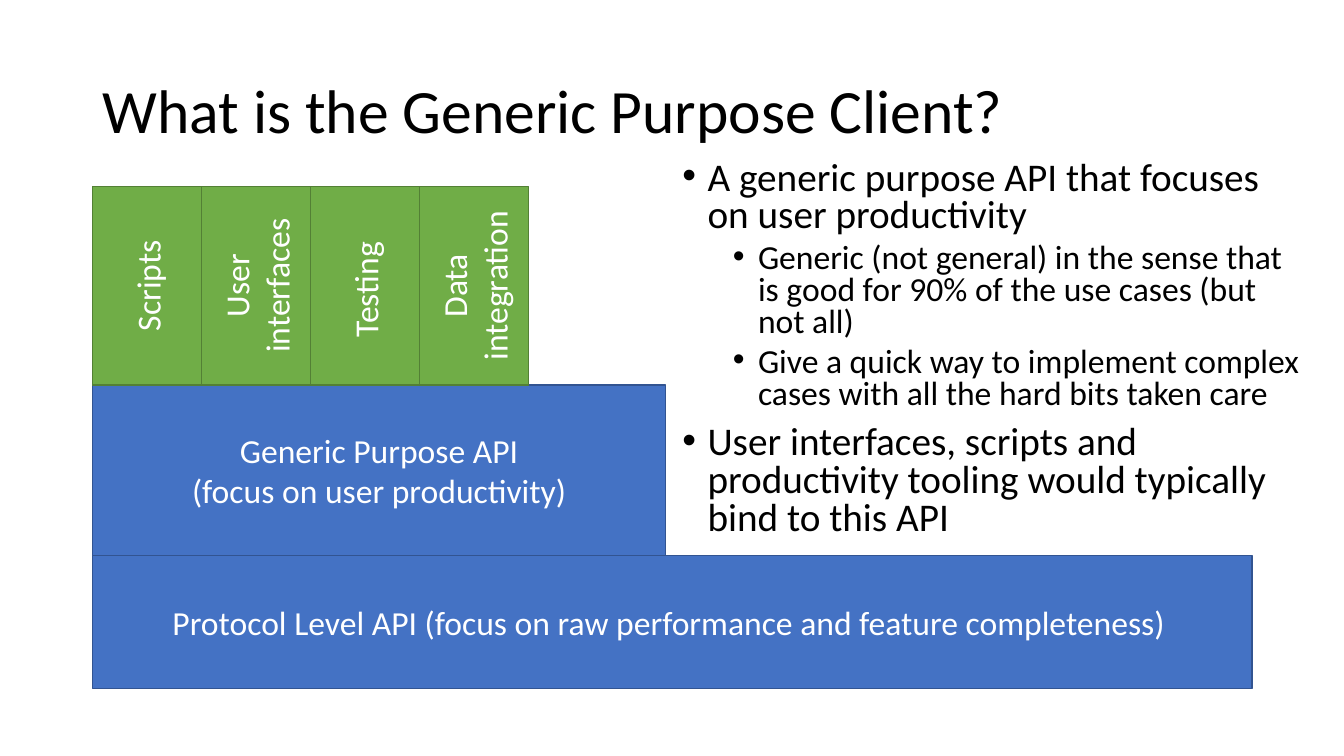
from dataclasses import dataclass

from lxml.etree import SubElement
from pptx import Presentation
from pptx.dml.color import RGBColor
from pptx.enum.shapes import MSO_SHAPE
from pptx.enum.text import MSO_ANCHOR, PP_ALIGN
from pptx.oxml.ns import qn
from pptx.slide import Slide
from pptx.text.text import TextFrame, _Paragraph
from pptx.util import Inches, Pt

FONT = "Calibri"
BLACK, WHITE = "000000", "FFFFFF"
BLUE, DARK_BLUE = "4472C4", "325491"
GREEN, DARK_GREEN = "70AD47", "538035"

STACK_LEFT = 0.92
CLIENT_WIDTH = 1.08


@dataclass(frozen=True)
class Block:
    lines: tuple[str, ...]
    left: float
    top: float
    width: float
    height: float
    fill: str = BLUE
    outline: str = DARK_BLUE
    upright: bool = False


@dataclass(frozen=True)
class Point:
    text: str
    level: int = 0


API_LAYERS = (
    Block(("Protocol Level API (focus on raw performance and feature completeness) ",),
          STACK_LEFT, 5.51, 11.5, 1.32),
    Block(("Generic Purpose API", "(focus on user productivity)"),
          STACK_LEFT, 3.82, 5.68, 1.69),
)
CLIENTS = ("Scripts", "User interfaces", "Testing ", "Data integration")
POINTS = (
    Point("A generic purpose API that focuses on user productivity"),
    Point("Generic (not general) in the sense that is good for 90% of the use cases "
          "(but not all)", 1),
    Point("Give a quick way to implement complex cases with all the hard bits taken care", 1),
    Point("User interfaces, scripts and productivity tooling would typically bind to this API"),
)


def color(value: str) -> RGBColor:
    return RGBColor.from_string(value)


def style(paragraph: _Paragraph, size: float, ink: str) -> None:
    paragraph.font.name = FONT
    paragraph.font.size = Pt(size)
    paragraph.font.color.rgb = color(ink)


def write_lines(frame: TextFrame, lines: tuple[str, ...]) -> None:
    frame.text = "\n".join(lines)
    for paragraph in frame.paragraphs:
        paragraph.alignment = PP_ALIGN.CENTER
        style(paragraph, 24, WHITE)


def draw_block(slide: Slide, block: Block) -> None:
    rectangle = slide.shapes.add_shape(
        MSO_SHAPE.RECTANGLE, Inches(block.left), Inches(block.top),
        Inches(block.width), Inches(block.height))
    rectangle.shadow.inherit = False
    rectangle.fill.solid()
    rectangle.fill.fore_color.rgb = color(block.fill)
    rectangle.line.color.rgb = color(block.outline)
    rectangle.line.width = Pt(1)
    frame = rectangle.text_frame
    frame.word_wrap = True
    frame.vertical_anchor = MSO_ANCHOR.MIDDLE
    write_lines(frame, block.lines)
    if block.upright:
        frame._txBody.bodyPr.set("vert", "vert270")


def add_text_area(slide: Slide, left: float, top: float, width: float,
                  height: float) -> TextFrame:
    area = slide.shapes.add_textbox(
        Inches(left), Inches(top), Inches(width), Inches(height))
    area.text_frame.word_wrap = True
    return area.text_frame


def add_bullet(paragraph: _Paragraph, level: int) -> None:
    properties = paragraph._p.get_or_add_pPr()
    properties.set("marL", str(Inches(0.25 + 0.5 * level)))
    properties.set("indent", str(Inches(-0.25)))
    SubElement(properties, qn("a:buFont")).set("typeface", "Arial")
    SubElement(properties, qn("a:buChar")).set("char", "•")


def draw_title(slide: Slide) -> None:
    frame = add_text_area(slide, STACK_LEFT, 0.4, 11.5, 1.45)
    frame.vertical_anchor = MSO_ANCHOR.MIDDLE
    frame.text = "What is the Generic Purpose Client?"
    heading = frame.paragraphs[0]
    heading.line_spacing = 0.9
    style(heading, 44, BLACK)


def draw_points(slide: Slide, points: tuple[Point, ...]) -> None:
    frame = add_text_area(slide, 6.67, 1.55, 6.36, 3.89)
    frame.text = "\n".join(point.text for point in points)
    for paragraph, point in zip(frame.paragraphs, points):
        paragraph.level = point.level
        paragraph.line_spacing = 0.8
        paragraph.space_before = Pt(5 if point.level else 10)
        add_bullet(paragraph, point.level)
        style(paragraph, 24 if point.level else 28, BLACK)


def main() -> None:
    presentation = Presentation()
    presentation.slide_width = Inches(13.33)
    presentation.slide_height = Inches(7.5)
    slide = presentation.slides.add_slide(presentation.slide_layouts[6])
    draw_title(slide)
    for layer in API_LAYERS:
        draw_block(slide, layer)
    for column, client in enumerate(CLIENTS):
        draw_block(slide, Block(
            (client,), STACK_LEFT + column * CLIENT_WIDTH, 1.85, CLIENT_WIDTH, 1.97,
            GREEN, DARK_GREEN, upright=True))
    draw_points(slide, POINTS)
    presentation.save("out.pptx")


if __name__ == "__main__":
    main()
